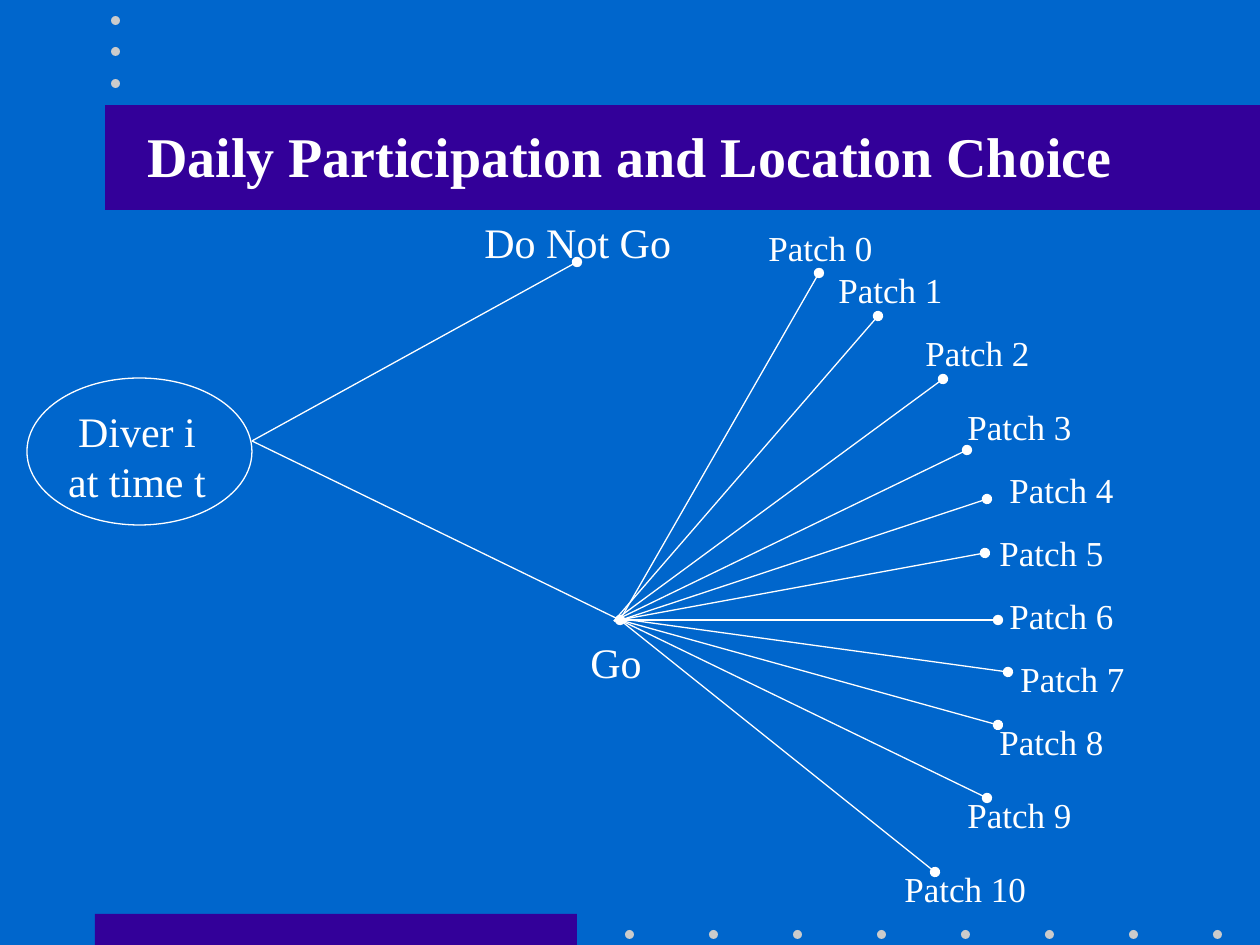
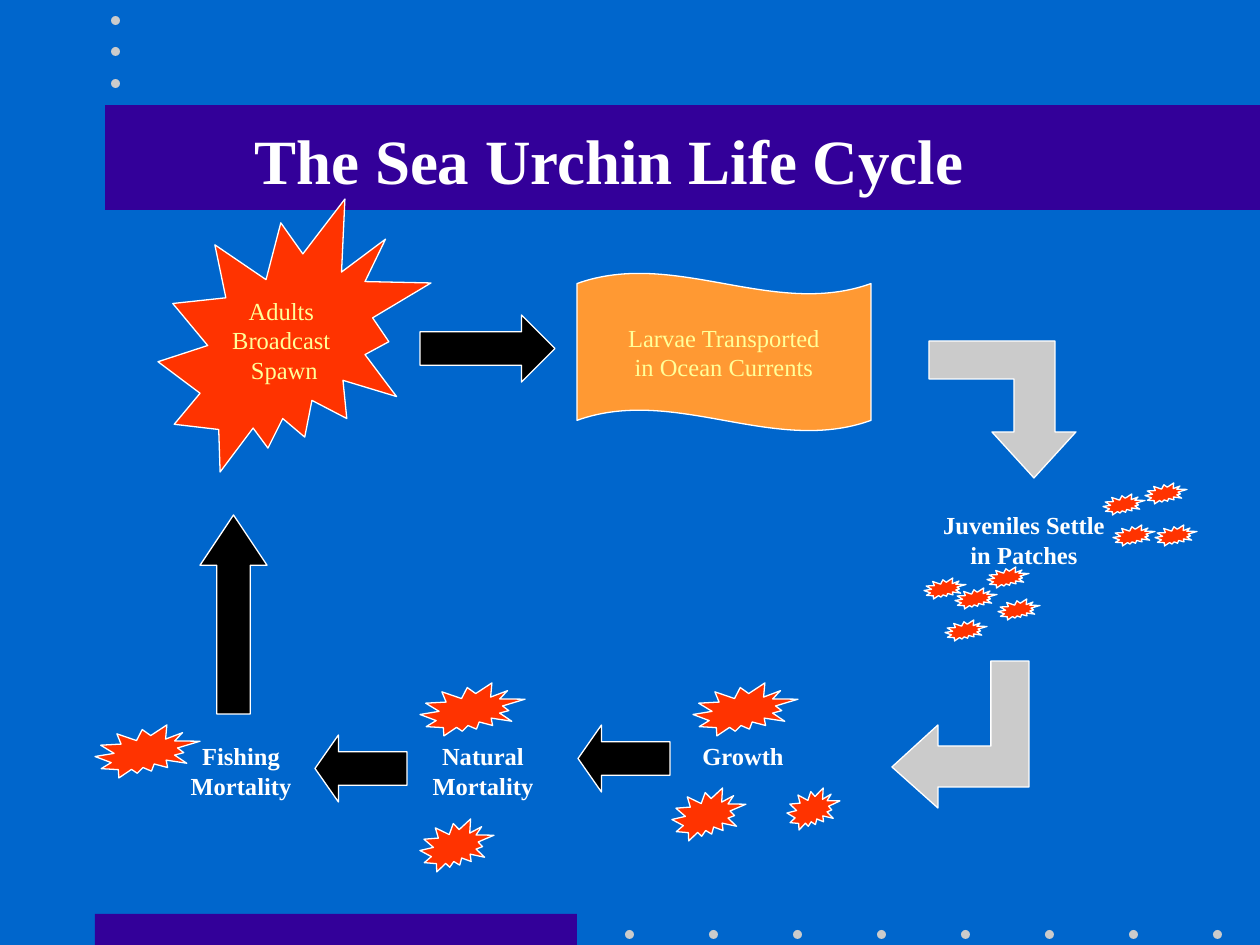
from lxml import etree
from pptx import Presentation
from pptx.dml.color import RGBColor
from pptx.enum.shapes import MSO_CONNECTOR, MSO_SHAPE
from pptx.enum.text import MSO_ANCHOR, MSO_AUTO_SIZE, PP_ALIGN
from pptx.oxml.ns import qn
from pptx.util import Pt

PX = 7257  # EMU per pixel, 126 pixels to the inch
BLUE, PURPLE, SILVER = "0066CC", "330099", "CBCBCB"
WHITE, BLACK, RED, ORANGE, YELLOW = "FFFFFF", "000000", "FF3300", "FF9933", "FFFF99"
FONT = "Times New Roman"
LINE_WIDTH = Pt(0.75)
LEFT, CENTER = PP_ALIGN.LEFT, PP_ALIGN.CENTER
TOP, MIDDLE = MSO_ANCHOR.TOP, MSO_ANCHOR.MIDDLE
FIT_SHAPE, NO_FIT = MSO_AUTO_SIZE.SHAPE_TO_FIT_TEXT, MSO_AUTO_SIZE.NONE
STRAIGHT = MSO_CONNECTOR.STRAIGHT
RECTANGLE, OVAL = MSO_SHAPE.RECTANGLE, MSO_SHAPE.OVAL
URCHIN, WAVE = MSO_SHAPE.EXPLOSION2, MSO_SHAPE.WAVE
RIGHT_ARROW, LEFT_ARROW, UP_ARROW = MSO_SHAPE.RIGHT_ARROW, MSO_SHAPE.LEFT_ARROW, MSO_SHAPE.UP_ARROW


def add_shape(slide, kind, box, fill=None, line=None, adjustments=()):
    """Add a preset shape, or a closed outline when kind is a list of points."""
    if isinstance(kind, list):
        builder = slide.shapes.build_freeform(*kind[0], scale=PX)
        builder.add_line_segments(kind[1:], close=True)
        shape = builder.convert_to_shape()
    else:
        shape = slide.shapes.add_shape(kind, *[value * PX for value in box])
    shape.shadow.inherit = False
    for index, value in enumerate(adjustments):
        shape.adjustments[index] = value
    if fill:
        shape.fill.solid()
        shape.fill.fore_color.rgb = RGBColor.from_string(fill)
    else:
        shape.fill.background()
    if line:
        shape.line.color.rgb = RGBColor.from_string(line)
        shape.line.width = LINE_WIDTH
    else:
        shape.line.fill.background()
    return shape


def add_text(slide, text, box=None, shape=None, size=14, bold=False, color=WHITE,
             align=CENTER, wrap=False):
    """Write text into a shape, or into a new text box placed at box."""
    holder = shape or slide.shapes.add_textbox(*[value * PX for value in box])
    frame = holder.text_frame
    frame.word_wrap = wrap
    frame.auto_size = NO_FIT if shape else FIT_SHAPE
    frame.vertical_anchor = MIDDLE if shape else TOP
    frame.text = text
    for paragraph in frame.paragraphs:
        paragraph.alignment = align
        paragraph.font.name = FONT
        paragraph.font.size = Pt(size)
        paragraph.font.bold = bold
        paragraph.font.color.rgb = RGBColor.from_string(color)


presentation = Presentation()
presentation.slide_width, presentation.slide_height = 1260 * PX, 945 * PX

# Shared background, bands and dots
slides = []
for number in range(2):
    slide = presentation.slides.add_slide(presentation.slide_layouts[6])
    slide.background.fill.solid()
    slide.background.fill.fore_color.rgb = RGBColor.from_string(BLUE)
    add_shape(slide, RECTANGLE, (95, 914, 482, 31), PURPLE)
    add_shape(slide, RECTANGLE, (105, 105, 1155, 105), PURPLE)
    dots = [(625 + 84 * i, 930) for i in range(8)] + [(111, 16 + 63 * i // 2) for i in range(3)]
    for left, top in dots:
        add_shape(slide, OVAL, (left, top, 9, 9), SILVER)
    slides.append(slide)
choice_slide, cycle_slide = slides

# Slide 1: decision tree, with start and end of each branch
DIVER, GO, GO_LEFT = (252, 441), (620, 620), (614, 621)
branches = [
    (DIVER, GO), (DIVER, (577, 262)),
    (GO, (819, 273)), (GO_LEFT, (878, 316)), (GO_LEFT, (943, 379)),
    (GO_LEFT, (967, 450)), ((624, 619), (987, 499)), (GO_LEFT, (985, 553)),
    (GO, (998, 620)), ((630, 620), (1008, 672)), (GO, (998, 725)),
    (GO, (987, 798)), (GO, (935, 872)),
]
for start, end in branches:
    branch = choice_slide.shapes.add_connector(STRAIGHT, *[value * PX for value in start + end])
    branch.line.color.rgb = RGBColor.from_string(WHITE)
    branch.line.width = LINE_WIDTH
    etree.SubElement(branch.line._get_or_add_ln(), qn("a:tailEnd"), type="oval")
    etree.SubElement(branch._element.spPr, qn("a:effectLst"))

# Branch labels
add_text(choice_slide, "Do Not Go", (472, 210, 214, 63), size=24, align=LEFT)
add_text(choice_slide, "Go", (578, 630, 77, 63), size=24, align=LEFT)
patch_corners = [(756, 220), (826, 262), (913, 325), (955, 399), (997, 462), (987, 525),
                 (997, 588), (1008, 651), (987, 714), (955, 787), (892, 861)]
for patch, (left, top) in enumerate(patch_corners):
    width = 130 if patch < 10 else 149
    add_text(choice_slide, f"Patch {patch}", (left, top, width, 55), size=20, align=LEFT)

# Title and diver
add_text(choice_slide, "Daily Participation and Location Choice", (0, 115, 1260, 81),
         size=32, bold=True, wrap=True)
add_text(choice_slide, "Diver i\nat time t", (53, 399, 168, 113), size=24)
add_shape(choice_slide, OVAL, (27, 378, 225, 147), line=WHITE)

# Slide 2: adults and larvae
adults = add_shape(cycle_slide, URCHIN, (158, 199, 273, 273), RED, WHITE)
add_text(cycle_slide, "Adults \nBroadcast \nSpawn", shape=adults, color=YELLOW)
larvae = add_shape(cycle_slide, WAVE, (577, 273, 294, 158), ORANGE, WHITE, (0.067, 0))
add_text(cycle_slide, "Larvae Transported\nin Ocean Currents", shape=larvae, color=YELLOW)

# Arrows of the cycle
for kind, box, head in [
    (RIGHT_ARROW, (420, 315, 135, 67), 0.5),
    (LEFT_ARROW, (578, 725, 92, 67), 0.35),
    (LEFT_ARROW, (315, 735, 92, 67), 0.35),
    (UP_ARROW, (200, 515, 67, 199), 0.75),
]:
    add_shape(cycle_slide, kind, box, BLACK, WHITE, (0.5, head))
down_bend = [(929, 341), (1055, 341), (1055, 432), (1076, 432), (1034, 478),
             (992, 432), (1014, 432), (1014, 379), (929, 379)]
left_bend = [(991, 661), (991, 746), (938, 746), (938, 725), (892, 767),
             (938, 808), (938, 787), (1029, 787), (1029, 661)]
for outline in (down_bend, left_bend):
    add_shape(cycle_slide, outline, None, SILVER, WHITE)

# Stage names
for text, box in [
    ("Juveniles Settle\nin Patches", (926, 504, 196, 72)),
    ("Growth", (688, 735, 110, 43)),
    ("Natural\nMortality", (418, 735, 130, 72)),
    ("Fishing\nMortality", (176, 735, 130, 72)),
]:
    add_text(cycle_slide, text, box, bold=True)

# Urchins, grouped by size
urchin_sizes = {
    (42, 21): [(1103, 494), (955, 588), (924, 578), (987, 567), (998, 599),
               (1113, 525), (945, 620), (1145, 483), (1155, 525)],
    (53, 42): [(787, 788)],
    (74, 53): [(672, 788), (420, 819)],
    (105, 53): [(693, 683), (420, 683), (95, 725)],
}
for size, corners in urchin_sizes.items():
    for corner in corners:
        add_shape(cycle_slide, URCHIN, corner + size, RED, WHITE)

add_text(cycle_slide, "The Sea Urchin Life Cycle", (0, 115, 1218, 88),
         size=36, bold=True, wrap=True)

presentation.save("out.pptx")
